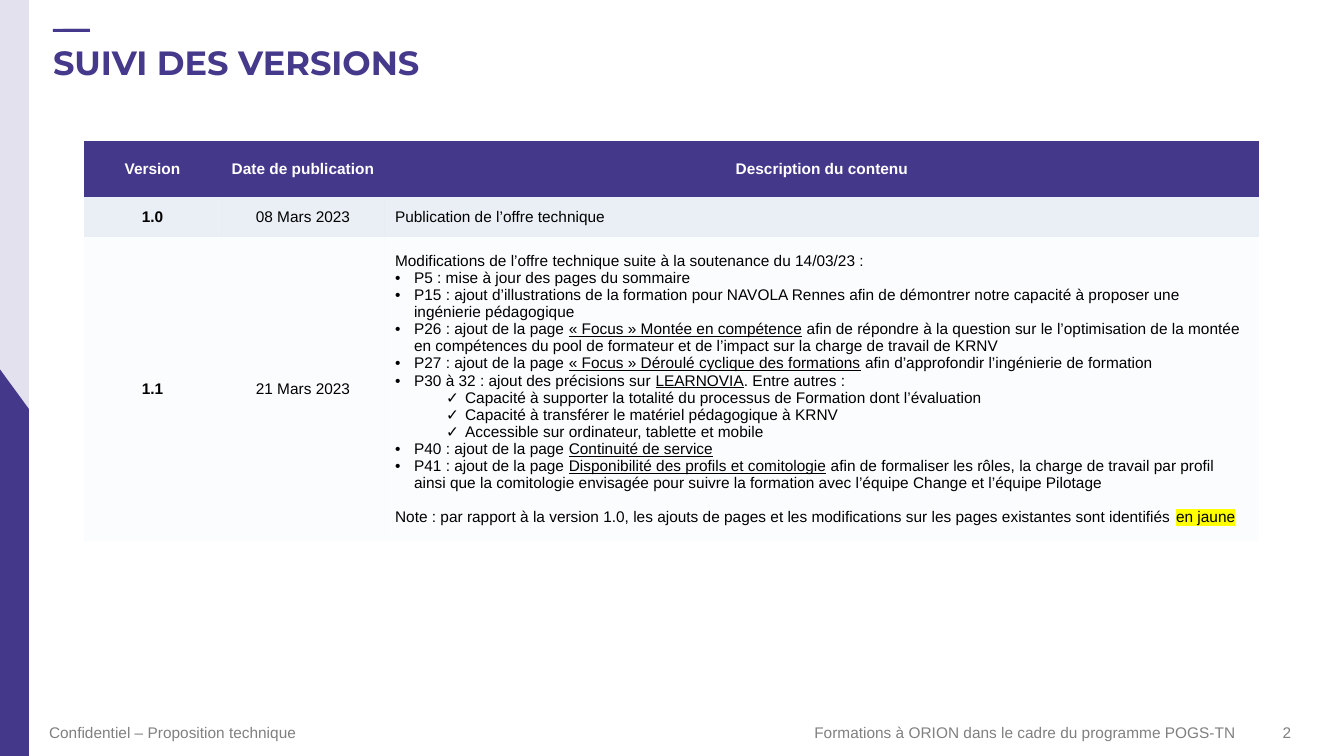
from pptx import Presentation
from pptx.dml.color import RGBColor
from pptx.enum.shapes import MSO_SHAPE
from pptx.enum.text import MSO_ANCHOR, PP_ALIGN
from pptx.oxml.ns import qn
from pptx.util import Emu, Pt
from lxml.etree import SubElement

SCALE = 914400 / 100.8
PURPLE, GREY, BLACK, WHITE = "44388A", "808080", "000000", "FFFFFF"
ACCENT = "44398A"
PLAIN_STYLE = "{2D5ABB26-0587-4C30-8999-92F81FD0307C}"
LEFT, MID, RIGHT = PP_ALIGN.LEFT, PP_ALIGN.CENTER, PP_ALIGN.RIGHT

COLS = [137, 164, 874]
ROWS = [56, 40, 284]
HEADS = ["Version", "Date de publication", "Description du contenu"]
# Underscores enclose underlined words; the first item of each pair is its level.
CHANGES = [
    ("", "Modifications de l’offre technique suite à la soutenance du 14/03/23 :"),
    ("•", "P5 : mise à jour des pages du sommaire"),
    ("•", "P15 : ajout d’illustrations de la formation pour NAVOLA Rennes afin de "
          "démontrer notre capacité à proposer une ingénierie pédagogique"),
    ("•", "P26 : ajout de la page _« Focus » Montée en compétence_ afin de répondre "
          "à la question sur le l’optimisation de la montée en compétences du pool de "
          "formateur et de l’impact sur la charge de travail de KRNV"),
    ("•", "P27 : ajout de la page _« Focus » Déroulé cyclique des formations_ afin "
          "d’approfondir l’ingénierie de formation"),
    ("•", "P30 à 32 : ajout des précisions sur _LEARNOVIA_. Entre autres :"),
    ("✓", "Capacité à supporter la totalité du processus de Formation dont l’évaluation"),
    ("✓", "Capacité à transférer le matériel pédagogique à KRNV"),
    ("✓", "Accessible sur ordinateur, tablette et mobile"),
    ("•", "P40 : ajout de la page _Continuité de service_"),
    ("•", "P41 : ajout de la page _Disponibilité des profils et comitologie_ afin de "
          "formaliser les rôles, la charge de travail par profil ainsi que la comitologie "
          "envisagée pour suivre la formation avec l’équipe Change et l’équipe Pilotage"),
]
NOTE = ("Note : par rapport à la version 1.0, les ajouts de pages et les modifications "
        "sur les pages existantes sont identifiés ")
INDENT = {"•": 19, "✓": 70}


def px(n):
    return Emu(round(n * SCALE))


def color(code):
    return RGBColor.from_string(code)


def paint(item, props, code, alpha=100):
    """Fill a shape or cell; props is the XML element that holds the fill."""
    item.fill.solid()
    item.fill.fore_color.rgb = color(code)
    if alpha < 100:
        tone = props.find(qn("a:solidFill")).find(qn("a:srgbClr"))
        SubElement(tone, qn("a:alpha")).set("val", str(alpha * 1000))


def style(para, code, size=11, bold=False, align=LEFT, face="Arial"):
    para.alignment = align
    font = para.font
    font.name, font.size, font.bold = face, Pt(size), bold
    font.color.rgb = color(code)


def block(slide, kind, box, code, alpha=100):
    shape = slide.shapes.add_shape(kind, *map(px, box))
    shape.shadow.inherit = False
    paint(shape, shape._element.spPr, code, alpha)
    shape.line.fill.background()
    return shape


def label(slide, box, text, code, inset=0, anchor=MSO_ANCHOR.MIDDLE, **look):
    frame = slide.shapes.add_textbox(*map(px, box)).text_frame
    frame.word_wrap = True
    frame.vertical_anchor = anchor
    frame.margin_left = frame.margin_right = px(inset)
    frame.margin_top = frame.margin_bottom = px(inset)
    para = frame.paragraphs[0]
    para.add_run().text = text
    style(para, code, **look)


def sidebar(slide, x, y, w, h):
    block(slide, MSO_SHAPE.RECTANGLE, (x, y, w, h), PURPLE, 15)
    wedge = block(slide, MSO_SHAPE.FLOWCHART_MANUAL_INPUT,
                  (x + w - 65, y + 324, 65, 445), PURPLE)
    wedge._element.spPr.xfrm.set("flipH", "1")


def header(slide, x, y, w, h):
    block(slide, MSO_SHAPE.RECTANGLE, (x + 20, y, 27, 2), ACCENT)
    block(slide, MSO_SHAPE.RECTANGLE, (x + 10, y, 37, 3), ACCENT)
    label(slide, (x, y + 3, w, h - 3), "SUIVI DES VERSIONS", ACCENT, inset=10,
          anchor=MSO_ANCHOR.TOP, size=24, bold=True, face="Montserrat")


def footer(slide, x, y, w, h):
    label(slide, (x, y, 416, h), "Confidentiel – Proposition technique", GREY)
    label(slide, (x + 183, y, 1004, h),
          "Formations à ORION dans le cadre du programme POGS-TN", GREY, align=RIGHT)
    label(slide, (x + w - 28, y, 28, h), "2", GREY, align=MID)


def bullet(para, mark):
    props = para._p.get_or_add_pPr()
    props.set("marL", str(px(INDENT[mark])))
    props.set("indent", str(-px(19)))
    tone = SubElement(props, qn("a:buClr"))
    SubElement(tone, qn("a:srgbClr")).set("val", BLACK)
    SubElement(props, qn("a:buFont")).set("typeface", "Arial")
    SubElement(props, qn("a:buChar")).set("char", mark)


def changes(frame):
    for i, (mark, text) in enumerate(CHANGES):
        para = frame.add_paragraph() if i else frame.paragraphs[0]
        if mark:
            bullet(para, mark)
        for j, part in enumerate(text.split("_")):
            if part:
                run = para.add_run()
                run.text = part
                if j % 2:
                    run.font.underline = True
        style(para, BLACK)
    note = frame.add_paragraph()
    note.space_before = Pt(12)
    note.add_run().text = NOTE
    run = note.add_run()
    run.text = "en jaune"
    glow = SubElement(run._r.get_or_add_rPr(), qn("a:highlight"))
    SubElement(glow, qn("a:srgbClr")).set("val", "FFFF00")
    style(note, BLACK)


def versions(slide, x, y):
    frame = slide.shapes.add_table(len(ROWS), len(COLS), px(x), px(y),
                                   px(sum(COLS)), px(sum(ROWS)))
    table = frame.table
    table.first_row = table.horz_banding = False
    table._tbl.tblPr.find(qn("a:tableStyleId")).text = PLAIN_STYLE
    for col, w in zip(table.columns, COLS):
        col.width = px(w)
    for row, h in zip(table.rows, ROWS):
        row.height = px(h)
    fills = [(PURPLE, 100), ("2C64A4", 10), ("DEE3EE", 10)]
    texts = [HEADS,
             ["1.0", "08 Mars 2023", "Publication de l’offre technique"],
             ["1.1", "21 Mars 2023", None]]
    for r, line in enumerate(texts):
        for c, text in enumerate(line):
            cell = table.cell(r, c)
            cell.vertical_anchor = MSO_ANCHOR.MIDDLE
            if r == 0:
                cell.margin_left = cell.margin_right = px(4)
                cell.margin_top = cell.margin_bottom = px(4)
            paint(cell, cell._tc.tcPr, *fills[r])
            if text is None:
                changes(cell.text_frame)
                continue
            para = cell.text_frame.paragraphs[0]
            para.add_run().text = text
            style(para, BLACK if r else WHITE, bold=r == 0 or c == 0,
                  align=LEFT if r and c == 2 else MID)


def main():
    deck = Presentation()
    deck.slide_width, deck.slide_height = px(1344), px(756)
    slide = deck.slides.add_slide(deck.slide_layouts[6])
    sidebar(slide, -1, -4, 30, 765)
    header(slide, 43, 29, 1092, 48)
    versions(slide, 84, 141)
    footer(slide, 49, 723, 1252, 19)
    deck.save("out.pptx")


if __name__ == "__main__":
    main()
